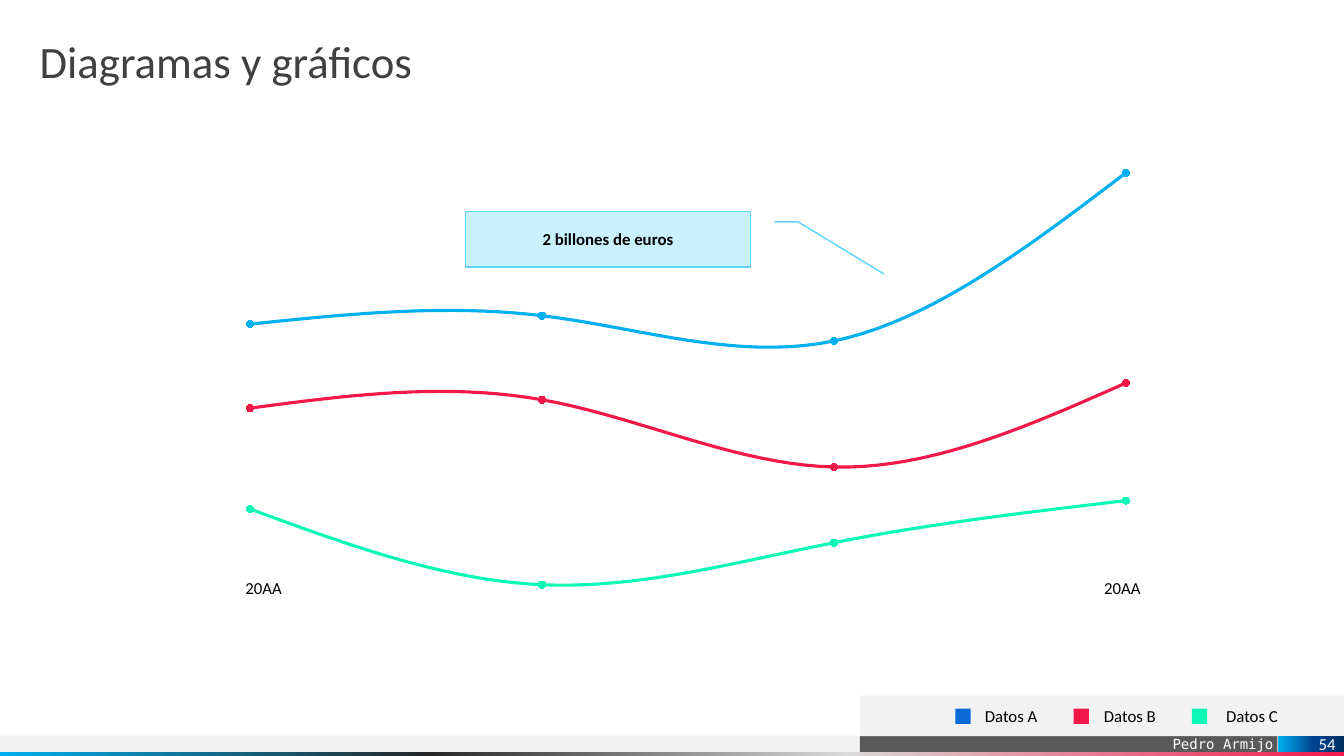
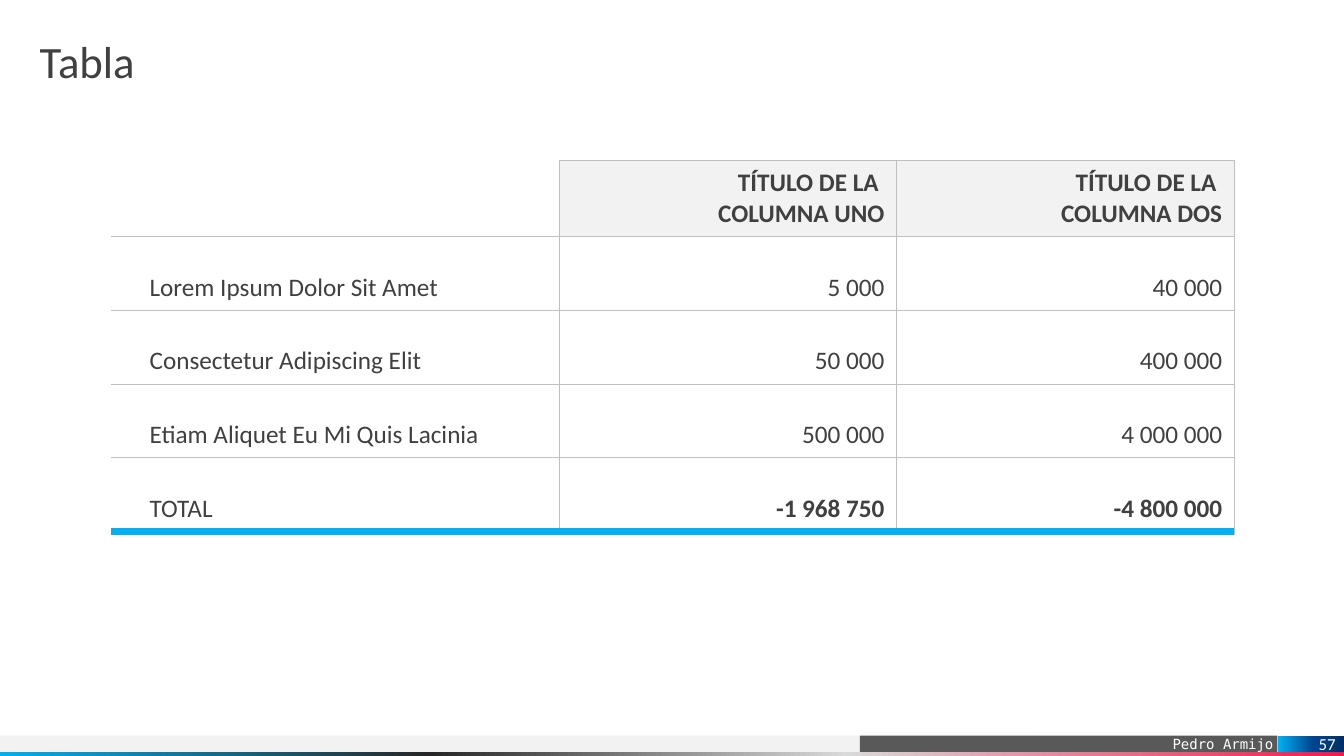
from dataclasses import dataclass
from typing import NamedTuple

from lxml.etree import Element, SubElement
from pptx import Presentation
from pptx.chart.data import CategoryChartData as Data
from pptx.dml.color import RGBColor as Rgb
from pptx.enum.chart import XL_CHART_TYPE as Kind, XL_MARKER_STYLE as Mark
from pptx.enum.shapes import MSO_SHAPE as Form
from pptx.enum.text import MSO_ANCHOR as Anchor, PP_ALIGN as Align
from pptx.oxml.ns import qn
from pptx.util import Cm, Pt

HUES = {
    "white": "FFFFFF", "black": "000000", "text": "404040", "pale": "F2F2F2",
    "slate": "595959", "rule": "BFBFBF", "sky": "00B0F0", "red": "F2194A",
    "mint": "0CF8B6", "blue": "0B6CD9", "ice": "C9F1FF", "edge": "5DD4FF",
    "coal": "262626", "silver": "D9D9D9", "navy": "004490", "deep": "003065",
}
SANS, MONO = "Calibri", "DejaVu Sans Mono"


class Box(NamedTuple):
    """Left, top, width and height in centimetres."""
    x: float
    y: float
    w: float
    h: float

    def cm(self) -> list:
        return [Cm(v) for v in self]


@dataclass
class Style:
    size: float = 12
    hue: str = "black"
    face: str = SANS
    bold: bool = False
    align: Align = Align.LEFT
    anchor: Anchor = Anchor.TOP
    pad: tuple = (0, 0, 0, 0)  # left, top, right, bottom in cm
    lead: float = 1.0


@dataclass
class Line:
    name: str
    vals: tuple
    hue: str


@dataclass
class Key:
    label: str
    hue: str
    gap: float  # from the square to its label


HEAD = Style(32, "text", lead=0.9)
NAME = Style(10, "white", MONO, align=Align.RIGHT, anchor=Anchor.BOTTOM,
             pad=(0.25, 0, 0.1, 0))
PAGE = Style(12, "white", align=Align.RIGHT, anchor=Anchor.MIDDLE,
             pad=(0, 0, 0.2, 0))
CALL = Style(bold=True, align=Align.CENTER, anchor=Anchor.MIDDLE,
             pad=(0.25, 0.13, 0.25, 0.13))
YEAR = Style(align=Align.CENTER, anchor=Anchor.MIDDLE)

LINES = [
    Line("Series 1", (86, 50, 70, 90), "mint"),
    Line("Series 2", (48, 88, 36, 56), "red"),
    Line("Series 3", (40, 40, 60, 100), "sky"),
]
KEYS = [Key("Datos A", "blue", 0.74), Key("Datos B", "red", 0.76),
        Key("Datos C", "mint", 0.86)]
ROWS = [
    ("", "TÍTULO DE LA \nCOLUMNA UNO", "TÍTULO DE LA \nCOLUMNA DOS"),
    ("Lorem Ipsum Dolor Sit Amet", "5 000", "40 000"),
    ("Consectetur Adipiscing Elit", "50 000", "400 000"),
    ("Etiam Aliquet Eu Mi Quis Lacinia", "500 000", "4 000 000"),
    ("TOTAL", "-1 968 750", "-4 800 000"),
]


def rgb(hue: str) -> Rgb:
    return Rgb.from_string(HUES[hue])


# Text and shapes

def style(frame, look: Style) -> None:
    for para in frame.paragraphs:
        para.alignment = look.align
        para.line_spacing = look.lead
        font = para.font
        font.name, font.size, font.bold = look.face, Pt(look.size), look.bold
        font.color.rgb = rgb(look.hue)


def write(frame, text: str, look: Style) -> None:
    frame.text = text
    frame.word_wrap = True
    frame.vertical_anchor = look.anchor
    (frame.margin_left, frame.margin_top,
     frame.margin_right, frame.margin_bottom) = [Cm(v) for v in look.pad]
    style(frame, look)


def label(slide, box: Box, text: str, look: Style) -> None:
    write(slide.shapes.add_textbox(*box.cm()).text_frame, text, look)


def shape(slide, box: Box, hue: str, form: Form = Form.RECTANGLE):
    item = slide.shapes.add_shape(form, *box.cm())
    item.shadow.inherit = False
    item.fill.solid()
    item.fill.fore_color.rgb = rgb(hue)
    item.line.fill.background()
    return item


def blend(item, stops: dict) -> None:
    """Fill from left to right; stops maps percent to hue."""
    item.fill.gradient()
    item.fill.gradient_angle = 0
    group = next(item.element.iter(qn("a:gsLst")))
    group.clear()
    for part, hue in stops.items():
        stop = SubElement(group, qn("a:gs"), pos=str(part * 1000))
        SubElement(stop, qn("a:srgbClr"), val=HUES[hue])


# Parts shared by the slides

def trim(layout) -> None:
    for item in list(layout.placeholders):
        if item.placeholder_format.idx >= 10:
            item.element.getparent().remove(item.element)


def bands(slide, layout) -> None:
    """Draw the footer bands and hand them over to the layout."""
    base = shape(slide, Box(-0.03, 18.54, 26.14, 0.41), "pale")
    bar = shape(slide, Box(21.67, 18.54, 10.52, 0.41), "slate")
    write(bar.text_frame, "Pedro Armijo", NAME)
    strip = shape(slide, Box(-0.03, 18.95, 33.9, 0.1), "sky")
    blend(strip, {0: "sky", 32: "coal", 63: "silver", 100: "red"})
    for item in (base, bar, strip):
        layout.shapes.element.append(item.element)


def start(slide, title: str) -> None:
    head = slide.shapes.title
    head.left, head.top, head.width, head.height = Box(1, 1, 31.88, 1.5).cm()
    write(head.text_frame, title, HEAD)


def number(slide, page: int) -> None:
    tab = shape(slide, Box(32.21, 18.54, 1.65, 0.41), "sky")
    blend(tab, {0: "sky", 53: "navy", 100: "deep"})
    write(tab.text_frame, str(page), PAGE)


# Chart slide

def place(chart, spots: dict) -> None:
    """Fix the inner plot area as shares of the chart."""
    area = next(chart.element.iter(qn("c:plotArea")))
    for old in area.findall(qn("c:layout")):
        area.remove(old)
    root = Element(qn("c:layout"))
    area.insert(0, root)
    frame = SubElement(root, qn("c:manualLayout"))
    SubElement(frame, qn("c:layoutTarget"), val="inner")
    for axis in "xy":
        SubElement(frame, qn(f"c:{axis}Mode"), val="edge")
    for side, share in spots.items():
        SubElement(frame, qn(f"c:{side}"), val=str(share))


def graph(slide) -> None:
    data = Data()
    data.categories = ["1", "2", "3", "4"]
    for line in LINES:
        data.add_series(line.name, line.vals)
    chart = slide.shapes.add_chart(
        Kind.LINE_MARKERS_STACKED, *Box(1.04, 1.73, 31.65, 16.48).cm(),
        data).chart
    chart.has_title = chart.has_legend = False
    chart.font.name, chart.font.size = MONO, Pt(10)
    chart.font.color.rgb = rgb("black")
    place(chart, {"x": 0.05, "y": 0.05, "w": 0.93, "h": 0.9})
    for axis in (chart.category_axis, chart.value_axis):
        axis.has_major_gridlines = False
        axis.visible = False
    chart.value_axis.minimum_scale = 0
    chart.value_axis.maximum_scale = 280
    chart.plots[0].vary_by_categories = False
    for line, plot in zip(LINES, chart.plots[0].series):
        plot.smooth = True
        plot.format.line.width = Pt(2.25)
        plot.format.line.color.rgb = rgb(line.hue)
        plot.marker.style, plot.marker.size = Mark.CIRCLE, 5
        dot = plot.marker.format
        dot.fill.solid()
        dot.fill.fore_color.rgb = rgb(line.hue)
        dot.line.color.rgb = rgb(line.hue)


def legend(slide) -> None:
    for i, key in enumerate(KEYS):
        left = 24.08 + i * 2.98
        shape(slide, Box(left, 17.86, 0.38, 0.38), key.hue)
        label(slide, Box(left + key.gap, 17.78, 1.88, 0.53), key.label, Style())


def trends(slide) -> None:
    start(slide, "Diagramas y gráficos")
    shape(slide, Box(21.67, 17.53, 12.2, 1.02), "pale")
    graph(slide)
    note = shape(slide, Box(11.73, 5.33, 7.19, 1.4), "ice", Form.LINE_CALLOUT_2)
    note.element.spPr.xfrm.set("flipH", "1")
    note.line.color.rgb = rgb("edge")
    note.line.width = Pt(1)
    write(note.text_frame, "2 billones de euros", CALL)
    for left in (2.11, 23.75):
        label(slide, Box(left, 13.87, 9.07, 1.9), "20AA", YEAR)
    legend(slide)
    number(slide, 54)


# Table slide

def edge(cell, side: str, hue: str, width: float) -> None:
    props = cell._tc.get_or_add_tcPr()
    line = SubElement(props, qn(f"a:ln{side}"), w=str(Pt(width)))
    if hue:
        fill = SubElement(line, qn("a:solidFill"))
        SubElement(fill, qn("a:srgbClr"), val=HUES[hue])
    else:
        SubElement(line, qn("a:noFill"))


def dress(cell, text: str, row: int, col: int) -> None:
    """Format one cell by its place in the grid."""
    top, last = row == 0, row == len(ROWS) - 1
    for side in "LRTB":
        bare = col == 0 and (side == "L" or (side == "T" and top))
        if side == "B" and last:
            edge(cell, side, "sky", 6)
        else:
            edge(cell, side, "" if bare else "rule", 0.25)
    if top and col:
        cell.fill.solid()
        cell.fill.fore_color.rgb = rgb("pale")
    else:
        cell.fill.background()
    cell.vertical_anchor = Anchor.MIDDLE if top else Anchor.BOTTOM
    cell.margin_left = Cm(0.3 if col else 0.97)
    cell.margin_right = Cm(0.3)
    cell.margin_top = cell.margin_bottom = Cm(0.18)
    cell.text_frame.text = text
    style(cell.text_frame, Style(
        18, "text", bold=bool(col) and (top or last),
        align=Align.RIGHT if col else Align.LEFT))


def totals(slide) -> None:
    start(slide, "Tabla")
    grid = slide.shapes.add_table(
        len(ROWS), 3, *Box(2.8, 4.04, 28.3, 9.32).cm()).table
    grid.first_row = grid.horz_banding = False
    for col, width in zip(grid.columns, (11.28, 8.51, 8.51)):
        col.width = Cm(width)
    for i, texts in enumerate(ROWS):
        grid.rows[i].height = Cm(1.86)
        for j, text in enumerate(texts):
            dress(grid.cell(i, j), text, i, j)
    number(slide, 57)


def main() -> None:
    deck = Presentation()
    deck.slide_width, deck.slide_height = Cm(33.87), Cm(19.05)
    layout = deck.slide_layouts[5]
    trim(layout)
    first, second = [deck.slides.add_slide(layout) for _ in range(2)]
    bands(first, layout)
    trends(first)
    totals(second)
    deck.save("out.pptx")


if __name__ == "__main__":
    main()
